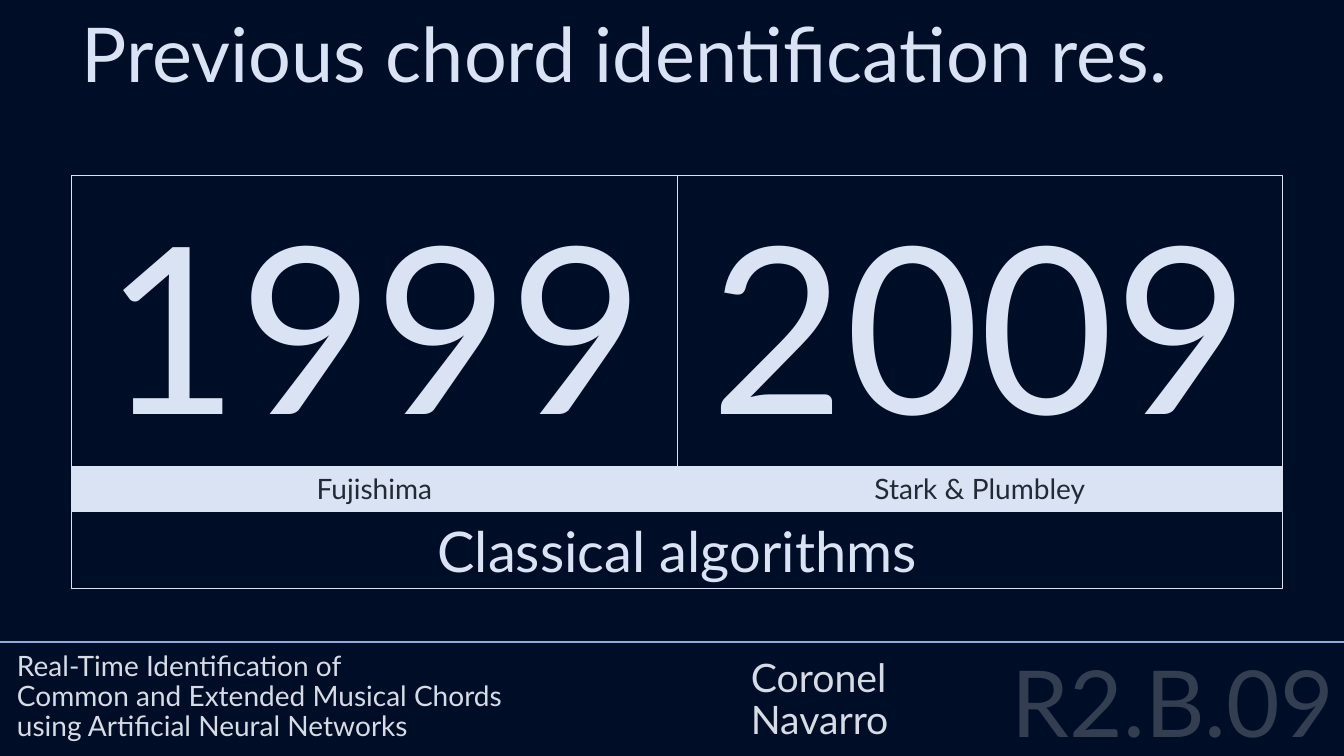
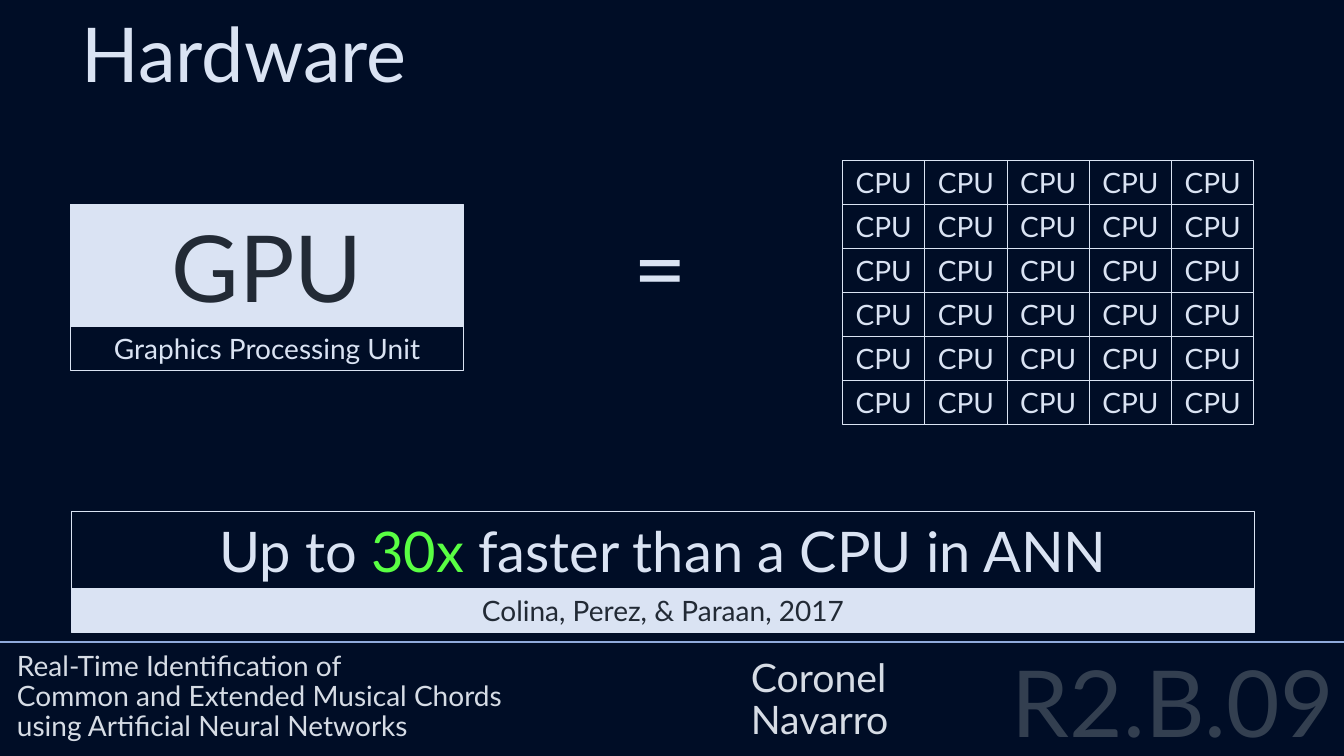
from dataclasses import dataclass
from typing import Iterator

from lxml.etree import SubElement
from pptx import Presentation
from pptx.dml.color import RGBColor
from pptx.enum.shapes import MSO_CONNECTOR as Connector, MSO_SHAPE as Shape
from pptx.enum.text import MSO_ANCHOR as Anchor, MSO_AUTO_SIZE as AutoSize, PP_ALIGN as Align
from pptx.oxml.ns import qn
from pptx.slide import Slide
from pptx.text.text import TextFrame
from pptx.util import Emu, Inches, Pt

FONT = "Lato"
NAVY, PALE, INK = "000D26", "DAE3F3", "222A35"
RULE, FOOTER, SLATE, GREEN = "8FAADC", "D6DCE5", "333F50", "59FF43"

WIDTH, HEIGHT = Inches(13.33), Inches(7.5)
COLUMN, ROW = WIDTH / 100, HEIGHT / 100
LEFT = 5.33
CAPTION_H = 5.83
BAND_TOP, BAND_H = 67.6, 10.27
RULE_Y = 84.93
FOOTER_TOP, FOOTER_H = 59.07, 39.87


@dataclass(frozen=True)
class Box:
    x: float
    y: float
    w: float
    h: float

    def emu(self) -> tuple[Emu, Emu, Emu, Emu]:
        return (Emu(round(self.x * COLUMN)), Emu(round(self.y * ROW)),
                Emu(round(self.w * COLUMN)), Emu(round(self.h * ROW)))

    def below(self, h: float) -> "Box":
        return Box(self.x, self.y + self.h, self.w, h)

    def right(self) -> "Box":
        return Box(self.x + self.w, self.y, self.w, self.h)

    def cells(self, columns: int, rows: int) -> Iterator["Box"]:
        w, h = self.w / columns, self.h / rows
        for row in range(rows):
            for column in range(columns):
                yield Box(self.x + column * w, self.y + row * h, w, h)


@dataclass(frozen=True)
class Style:
    size: int
    color: str = PALE
    align: Align = Align.CENTER
    anchor: Anchor = Anchor.TOP
    spacing: float = 1.0
    before: int = 0
    grow: bool = True


@dataclass(frozen=True)
class Label:
    box: Box
    text: str
    style: Style


TITLE = Style(54, align=Align.LEFT)
YEAR = Style(166, anchor=Anchor.MIDDLE)
BAND = Style(40, anchor=Anchor.MIDDLE)
SIGN = Style(66)
SIGN_DARK = Style(66, INK)
CAPTION = Style(20)
CAPTION_DARK = Style(20, INK)
PROJECT = Style(20, FOOTER, Align.LEFT, Anchor.BOTTOM, 0.9, grow=False)
AUTHORS = Style(28, FOOTER, Align.LEFT, Anchor.BOTTOM, 0.9, grow=False)
CODE = Style(66, SLATE, Align.RIGHT, spacing=0.8, before=10, grow=False)

FOOTERS = (
    Label(Box(63.47, 87.47, 36.53, 13.87), "R2.B.09", CODE),
    Label(Box(55.14, FOOTER_TOP, 38.26, FOOTER_H), "Coronel\nNavarro", AUTHORS),
    Label(Box(0.53, FOOTER_TOP, 54.61, FOOTER_H),
          "Real-Time Identification of \vCommon and Extended Musical Chords \v"
          "using Artificial Neural Networks", PROJECT),
)


def rgb(color: str) -> RGBColor:
    return RGBColor.from_string(color)


def write(tf: TextFrame, text: str, style: Style) -> None:
    tf.text = text
    tf.word_wrap = True
    tf.auto_size = AutoSize.SHAPE_TO_FIT_TEXT if style.grow else AutoSize.NONE
    tf.vertical_anchor = style.anchor
    for p in tf.paragraphs:
        p.alignment = style.align
        p.line_spacing = style.spacing
        p.space_before = Pt(style.before)
        for r in p.runs:
            r.font.name = FONT
            r.font.size = Pt(style.size)
            r.font.color.rgb = rgb(style.color)


def add_text(s: Slide, label: Label) -> None:
    write(s.shapes.add_textbox(*label.box.emu()).text_frame, label.text, label.style)


def add_panel(s: Slide, label: Label) -> TextFrame:
    sp = s.shapes.add_shape(Shape.RECTANGLE, *label.box.emu())
    sp.shadow.inherit = False
    if label.style.color == INK:
        sp.fill.solid()
        sp.fill.fore_color.rgb = rgb(PALE)
    else:
        sp.fill.background()
    sp.line.color.rgb = rgb(PALE)
    sp.line.width = Pt(0.75)
    write(sp.text_frame, label.text, label.style)
    return sp.text_frame


def highlight(tf: TextFrame, word: str, color: str, style: Style) -> None:
    p = tf.paragraphs[0]
    before, hit, after = p.text.partition(word)
    p.runs[0].text = before
    for text, tint in ((hit, color), (after, style.color)):
        r = p.add_run()
        r.text = text
        r.font.name = FONT
        r.font.size = Pt(style.size)
        r.font.color.rgb = rgb(tint)


def add_slide(prs: Presentation, title: str) -> Slide:
    s = prs.slides.add_slide(prs.slide_layouts[5])
    sp = s.shapes.title
    sp.left, sp.top, sp.width, sp.height = Box(LEFT, 0.27, 94, 13.47).emu()
    write(sp.text_frame, title, TITLE)
    y = Emu(round(RULE_Y * ROW))
    rule = s.shapes.add_connector(Connector.STRAIGHT, 0, y, WIDTH, y)
    rule.line.color.rgb = rgb(RULE)
    rule.line.width = Pt(1.5)
    SubElement(rule._element.spPr, qn("a:effectLst"))
    for label in FOOTERS:
        add_text(s, label)
    return s


def build_research(prs: Presentation) -> None:
    s = add_slide(prs, "Previous chord identification res.")
    years = Box(LEFT, 23.2, 90.1, 38.55)
    studies = (("1999", "Fujishima"), ("2009", "Stark & Plumbley"))
    for cell, (year, authors) in zip(years.cells(len(studies), 1), studies):
        add_panel(s, Label(cell, year, YEAR))
        add_panel(s, Label(cell.below(CAPTION_H), authors, CAPTION_DARK))
    add_panel(s, Label(Box(LEFT, BAND_TOP, years.w, BAND_H), "Classical algorithms", BAND))


def build_hardware(prs: Presentation) -> None:
    s = add_slide(prs, "Hardware")
    gpu = Box(5.25, 27.07, 29.25, 16.13)
    add_panel(s, Label(gpu, "GPU", SIGN_DARK))
    add_panel(s, Label(gpu.below(CAPTION_H), "Graphics Processing Unit", CAPTION))
    add_text(s, Label(gpu.right(), "=", SIGN))
    for cell in Box(62.7, 21.2, 30.6, 6 * CAPTION_H).cells(5, 6):
        add_panel(s, Label(cell, "CPU", CAPTION))
    band = Box(LEFT, BAND_TOP, 88, BAND_H)
    tf = add_panel(s, Label(band, "Up to 30x faster than a CPU in ANN", BAND))
    highlight(tf, "30x", GREEN, BAND)
    add_panel(s, Label(band.below(CAPTION_H), "Colina, Perez, & Paraan, 2017", CAPTION_DARK))


def main() -> None:
    prs = Presentation()
    prs.slide_width, prs.slide_height = WIDTH, HEIGHT
    fill = prs.slide_master.background.fill
    fill.solid()
    fill.fore_color.rgb = rgb(NAVY)
    build_research(prs)
    build_hardware(prs)
    prs.save("out.pptx")


main()
